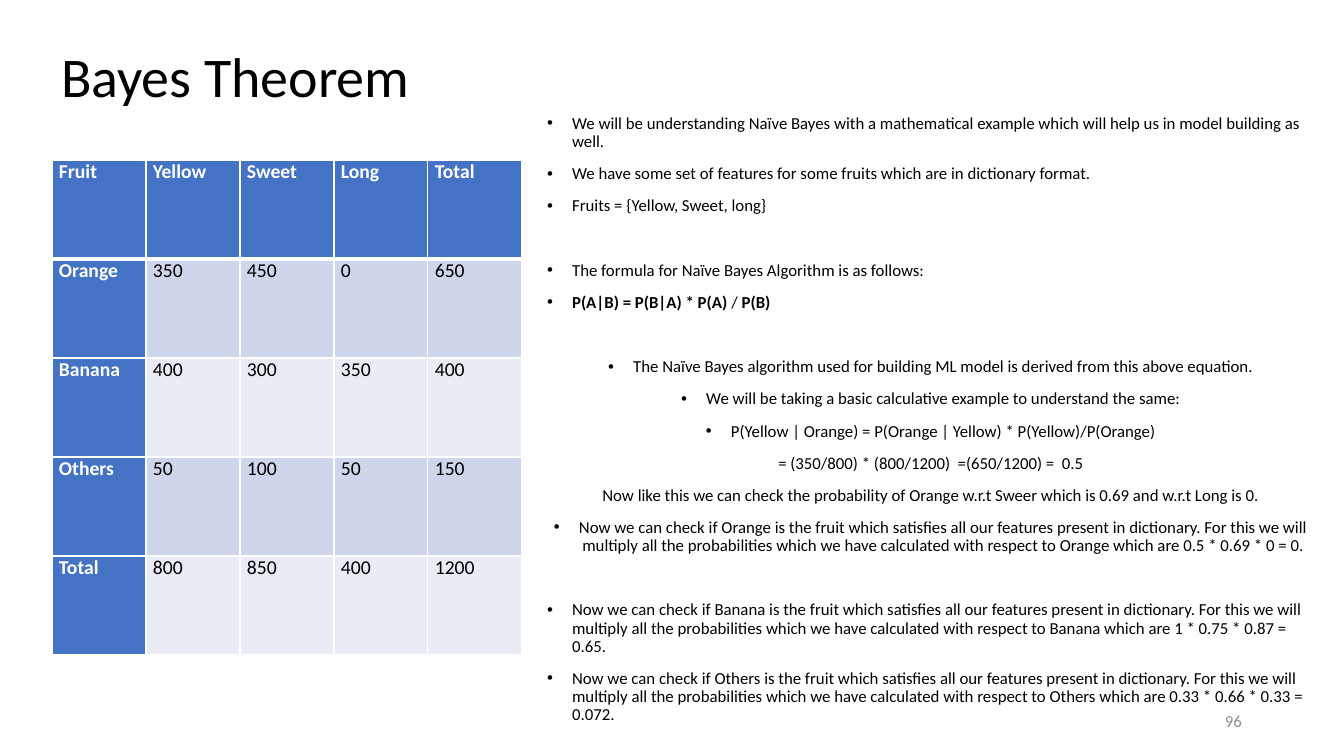
from dataclasses import dataclass

from lxml.etree import SubElement
from pptx import Presentation
from pptx.dml.color import RGBColor
from pptx.enum.text import MSO_ANCHOR, MSO_AUTO_SIZE, PP_ALIGN
from pptx.oxml.ns import qn
from pptx.slide import Slide
from pptx.util import Pt

EMU_PER_PX = 914400 / 100.8
BLACK = RGBColor(0x00, 0x00, 0x00)
WHITE = RGBColor(0xFF, 0xFF, 0xFF)
GRAY = RGBColor(0x8C, 0x8C, 0x8C)
BLUE = RGBColor(0x44, 0x72, 0xC4)
BANDS = (RGBColor(0xE9, 0xEB, 0xF5), RGBColor(0xCF, 0xD5, 0xEA))

FRUIT_ROWS = [
    ("Fruit", "Yellow", "Sweet", "Long", "Total"),
    ("Orange", "350", "450", "0", "650"),
    ("Banana", "400", "300", "350", "400"),
    ("Others", "50", "100", "50", "150"),
    ("Total", "800", "850", "400", "1200"),
]

LEFT, CENTER = PP_ALIGN.LEFT, PP_ALIGN.CENTER
NEAR, FAR = 10, 33


def check_fruit(fruit, product):
    return (
        f"Now we can check if {fruit} is the fruit which satisfies all our features present in "
        "dictionary. For this we will multiply all the probabilities which we have calculated "
        f"with respect to {fruit} which are {product}."
    )


NOTES = [
    ("We will be understanding Naïve Bayes with a mathematical example which will help us "
     "in model building as well.", LEFT, True, 0),
    ("We have some set of features for some fruits which are in dictionary format.", LEFT, True, NEAR),
    ("Fruits = {Yellow, Sweet, long}", LEFT, True, NEAR),
    ("The formula for Naïve Bayes Algorithm is as follows:", LEFT, True, FAR),
    ([("P(A|B) = P(B|A) * P(A)", True), (" /", False), (" P(B)", True)], LEFT, True, NEAR),
    ("The Naïve Bayes algorithm used for building ML model is derived from this above equation.",
     CENTER, True, FAR),
    ("We will be taking a basic calculative example to understand the same:", CENTER, True, NEAR),
    ("P(Yellow | Orange) = P(Orange | Yellow) * P(Yellow)/P(Orange)", CENTER, True, NEAR),
    ("= (350/800) * (800/1200)  =(650/1200) =  0.5", CENTER, False, NEAR),
    ("Now like this we can check the probability of Orange w.r.t Sweer which is 0.69 "
     "and w.r.t Long is 0.", CENTER, False, NEAR),
    (check_fruit("Orange", "0.5 * 0.69 * 0 = 0"), CENTER, True, NEAR),
    (check_fruit("Banana", "1 * 0.75 * 0.87 = 0.65"), LEFT, True, FAR),
    (check_fruit("Others", "0.33 * 0.66 * 0.33 = 0.072"), LEFT, True, NEAR),
]


def px(length):
    return round(length * EMU_PER_PX)


@dataclass
class SlideBuilder:
    """Draws styled elements on the current slide."""

    slide: Slide
    font_name: str = "Calibri"

    def place(self, shape, left, top, width, height, anchor):
        shape.left, shape.top = px(left), px(top)
        shape.width, shape.height = px(width), px(height)
        frame = shape.text_frame
        frame.word_wrap = True
        frame.auto_size = MSO_AUTO_SIZE.NONE
        frame.vertical_anchor = anchor
        return frame

    def style(self, paragraph, size, color, bold=None, align=LEFT):
        paragraph.alignment = align
        font = paragraph.font
        font.name, font.size, font.bold = self.font_name, Pt(size), bold
        font.color.rgb = color

    def title(self, text, *box):
        frame = self.place(self.slide.shapes.title, *box, MSO_ANCHOR.MIDDLE)
        frame.text = text
        frame.paragraphs[0].line_spacing = 0.9
        self.style(frame.paragraphs[0], 40, BLACK)

    def bullet(self, paragraph, shown):
        properties = paragraph._p.get_or_add_pPr()
        indent = px(25) if shown else 0
        properties.set("marL", str(indent))
        properties.set("indent", str(-indent))
        if shown:
            SubElement(properties, qn("a:buFont"), typeface="Arial")
            SubElement(properties, qn("a:buChar"), char="•")
        else:
            SubElement(properties, qn("a:buNone"))

    def body(self, notes, *box):
        frame = self.place(self.slide.placeholders[1], *box, MSO_ANCHOR.TOP)
        for index, (content, align, bulleted, space_before) in enumerate(notes):
            paragraph = frame.add_paragraph() if index else frame.paragraphs[0]
            self.bullet(paragraph, bulleted)
            paragraph.line_spacing = 0.9
            paragraph.space_before = Pt(space_before)
            paragraph.space_after = Pt(0)
            self.style(paragraph, 12, BLACK, align=align)
            runs = [(content, False)] if isinstance(content, str) else content
            for text, bold in runs:
                run = paragraph.add_run()
                run.text, run.font.bold = text, bold

    def borders(self, cell, row):
        properties = cell._tc.get_or_add_tcPr()
        thick_side = {0: "lnB", 1: "lnT"}.get(row)
        for side in ("lnL", "lnR", "lnT", "lnB"):
            width = Pt(3 if side == thick_side else 1)
            line = SubElement(properties, qn(f"a:{side}"), w=str(width))
            fill = SubElement(line, qn("a:solidFill"))
            SubElement(fill, qn("a:srgbClr"), val=str(WHITE))

    def table(self, rows, left, top, column_width, row_height):
        count = len(rows[0])
        table = self.slide.shapes.add_table(
            len(rows), count, px(left), px(top),
            px(column_width * count), px(row_height * len(rows))).table
        for column in table.columns:
            column.width = px(column_width)
        for row, values in enumerate(rows):
            table.rows[row].height = px(row_height)
            for column, text in enumerate(values):
                cell = table.cell(row, column)
                heading = row == 0 or column == 0
                cell.text = text
                cell.margin_left = cell.margin_right = px(7)
                cell.margin_top = cell.margin_bottom = 0
                self.borders(cell, row)
                cell.fill.solid()
                cell.fill.fore_color.rgb = BLUE if heading else BANDS[row % 2]
                self.style(cell.text_frame.paragraphs[0], 14, WHITE if heading else BLACK, heading)

    def page_number(self, text, *box):
        shape = self.slide.shapes.add_textbox(0, 0, 0, 0)
        frame = self.place(shape, *box, MSO_ANCHOR.MIDDLE)
        frame.text = text
        self.style(frame.paragraphs[0], 12, GRAY, align=PP_ALIGN.RIGHT)


def main():
    presentation = Presentation()
    presentation.slide_width, presentation.slide_height = px(1344), px(756)
    builder = SlideBuilder(presentation.slides.add_slide(presentation.slide_layouts[1]))
    builder.title("Bayes Theorem", 51, 40, 1200, 78)
    builder.table(FRUIT_ROWS, 52, 160, 94, 99)
    builder.body(NOTES, 537, 110, 788, 646)
    builder.page_number("96", 950, 701, 302, 40)
    presentation.save("out.pptx")


if __name__ == "__main__":
    main()
